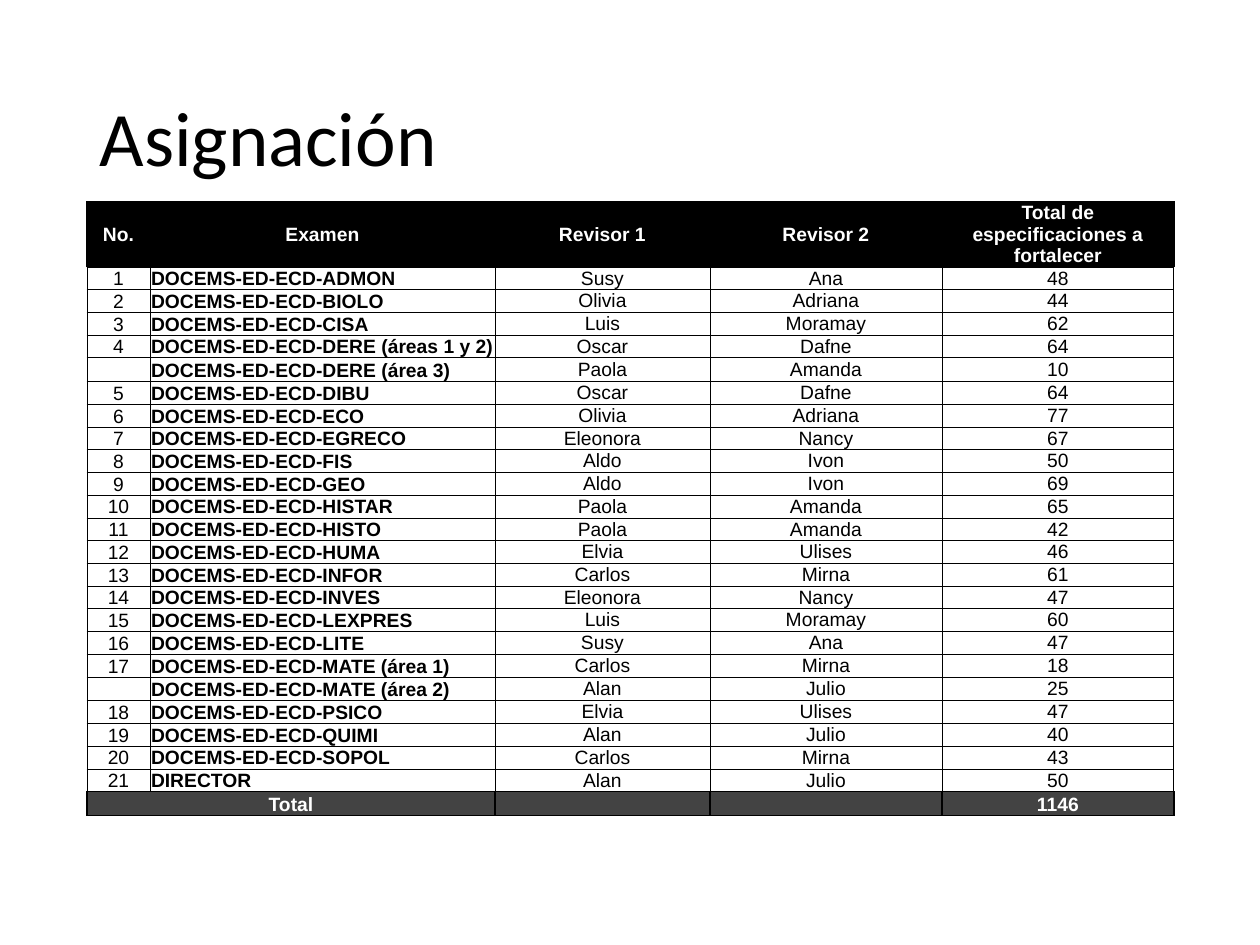
from lxml import etree
from pptx import Presentation
from pptx.dml.color import RGBColor
from pptx.enum.text import MSO_ANCHOR, PP_ALIGN
from pptx.oxml.ns import qn
from pptx.util import Emu, Pt

MIDDLE, BOTTOM = MSO_ANCHOR.MIDDLE, MSO_ANCHOR.BOTTOM
LEFT, CENTER = PP_ALIGN.LEFT, PP_ALIGN.CENTER

TITLE = "Asignación"
HEADER = ("No.", "Examen", "Revisor 1", "Revisor 2",
          "Total de especificaciones a fortalecer")
PREFIX = "DOCEMS-ED-ECD-"
EXAMS = [
    ("1", PREFIX + "ADMON", "Susy", "Ana", 48),
    ("2", PREFIX + "BIOLO", "Olivia", "Adriana", 44),
    ("3", PREFIX + "CISA", "Luis", "Moramay", 62),
    ("4", PREFIX + "DERE (áreas 1 y 2)", "Oscar", "Dafne", 64),
    ("", PREFIX + "DERE (área 3)", "Paola", "Amanda", 10),
    ("5", PREFIX + "DIBU", "Oscar", "Dafne", 64),
    ("6", PREFIX + "ECO", "Olivia", "Adriana", 77),
    ("7", PREFIX + "EGRECO", "Eleonora", "Nancy", 67),
    ("8", PREFIX + "FIS", "Aldo", "Ivon", 50),
    ("9", PREFIX + "GEO", "Aldo", "Ivon", 69),
    ("10", PREFIX + "HISTAR", "Paola", "Amanda", 65),
    ("11", PREFIX + "HISTO", "Paola", "Amanda", 42),
    ("12", PREFIX + "HUMA", "Elvia", "Ulises", 46),
    ("13", PREFIX + "INFOR", "Carlos", "Mirna", 61),
    ("14", PREFIX + "INVES", "Eleonora", "Nancy", 47),
    ("15", PREFIX + "LEXPRES", "Luis", "Moramay", 60),
    ("16", PREFIX + "LITE", "Susy", "Ana", 47),
    ("17", PREFIX + "MATE (área 1)", "Carlos", "Mirna", 18),
    ("", PREFIX + "MATE (área 2)", "Alan", "Julio", 25),
    ("18", PREFIX + "PSICO", "Elvia", "Ulises", 47),
    ("19", PREFIX + "QUIMI", "Alan", "Julio", 40),
    ("20", PREFIX + "SOPOL", "Carlos", "Mirna", 43),
    ("21", "DIRECTOR", "Alan", "Julio", 50),
]
TOTAL = ("Total", "", "", "", sum(exam[-1] for exam in EXAMS))

COL_WIDTHS = (63, 345, 215, 232, 232)
TABLE_LEFT, TABLE_TOP = 87, 202
HEADER_H, BODY_H, TOTAL_H = 65, 523, 23
THIN, THICK = 0.5, 1
BLACK, WHITE, GRAY = "000000", "FFFFFF", "434343"


def px(n):
    return Emu(round(n * 914400 / 126))


def rgb(color):
    return RGBColor.from_string(color)


def set_borders(cell, left, right, top, bottom):
    tc_pr = cell._tc.get_or_add_tcPr()
    for side, width in zip("LRTB", (left, right, top, bottom)):
        ln = etree.SubElement(tc_pr, qn(f"a:ln{side}"), w=str(Pt(width)))
        fill = etree.SubElement(ln, qn("a:solidFill"))
        etree.SubElement(fill, qn("a:srgbClr"), val=BLACK)


def fill_cell(cell, value, fill, color, bold, align, anchor, borders):
    set_borders(cell, *borders)
    cell.fill.solid()
    cell.fill.fore_color.rgb = rgb(fill)
    cell.margin_left = cell.margin_right = px(1)
    cell.margin_top = cell.margin_bottom = 0
    cell.vertical_anchor = anchor
    p = cell.text_frame.paragraphs[0]
    p.text = str(value)
    p.alignment = align
    for r in p.runs:
        r.font.name, r.font.size, r.font.bold = "Arial", Pt(11), bold
        r.font.color.rgb = rgb(color)
    if not p.runs:  # keeps an empty cell from stretching its row
        etree.SubElement(p._p, qn("a:endParaRPr"), sz="1100")


prs = Presentation()
prs.slide_width, prs.slide_height = px(1260), px(945)
s = prs.slides.add_slide(prs.slide_layouts[5])

title = s.shapes.title
title.left, title.top, title.width, title.height = px(87), px(50), px(1086), px(183)
tf = title.text_frame
tf.text = TITLE
tf.vertical_anchor = MIDDLE
p = tf.paragraphs[0]
p.alignment, p.line_spacing = LEFT, 0.9
font = p.runs[0].font
font.name, font.size = "Calibri", Pt(44)
font.color.rgb = rgb(BLACK)

rows = [HEADER, *EXAMS, TOTAL]
last = len(rows) - 1
heights = [HEADER_H] + [BODY_H / len(EXAMS)] * len(EXAMS) + [TOTAL_H]
table = s.shapes.add_table(len(rows), len(HEADER), px(TABLE_LEFT), px(TABLE_TOP),
                           px(sum(COL_WIDTHS)), px(sum(heights))).table
table.first_row = table.horz_banding = False
for column, width in zip(table.columns, COL_WIDTHS):
    column.width = px(width)
for row, height in zip(table.rows, heights):
    row.height = px(height)

for i, values in enumerate(rows):
    for j, value in enumerate(values):
        fill, color, bold, align = WHITE, BLACK, j == 1, LEFT if j == 1 else CENTER
        anchor = BOTTOM if j < 2 else MIDDLE
        borders = (THIN,) * 4
        if i == 0:
            fill, color, bold, align, anchor = BLACK, WHITE, True, CENTER, MIDDLE
            borders = (THICK, THICK, THICK, THIN)
        elif i == last:
            fill, color, bold, align, anchor = GRAY, WHITE, True, CENTER, BOTTOM
            borders = (THICK, THICK, THIN, THICK)
        fill_cell(table.cell(i, j), value, fill, color, bold, align, anchor, borders)
table.cell(last, 0).merge(table.cell(last, 1))

prs.save("out.pptx")
